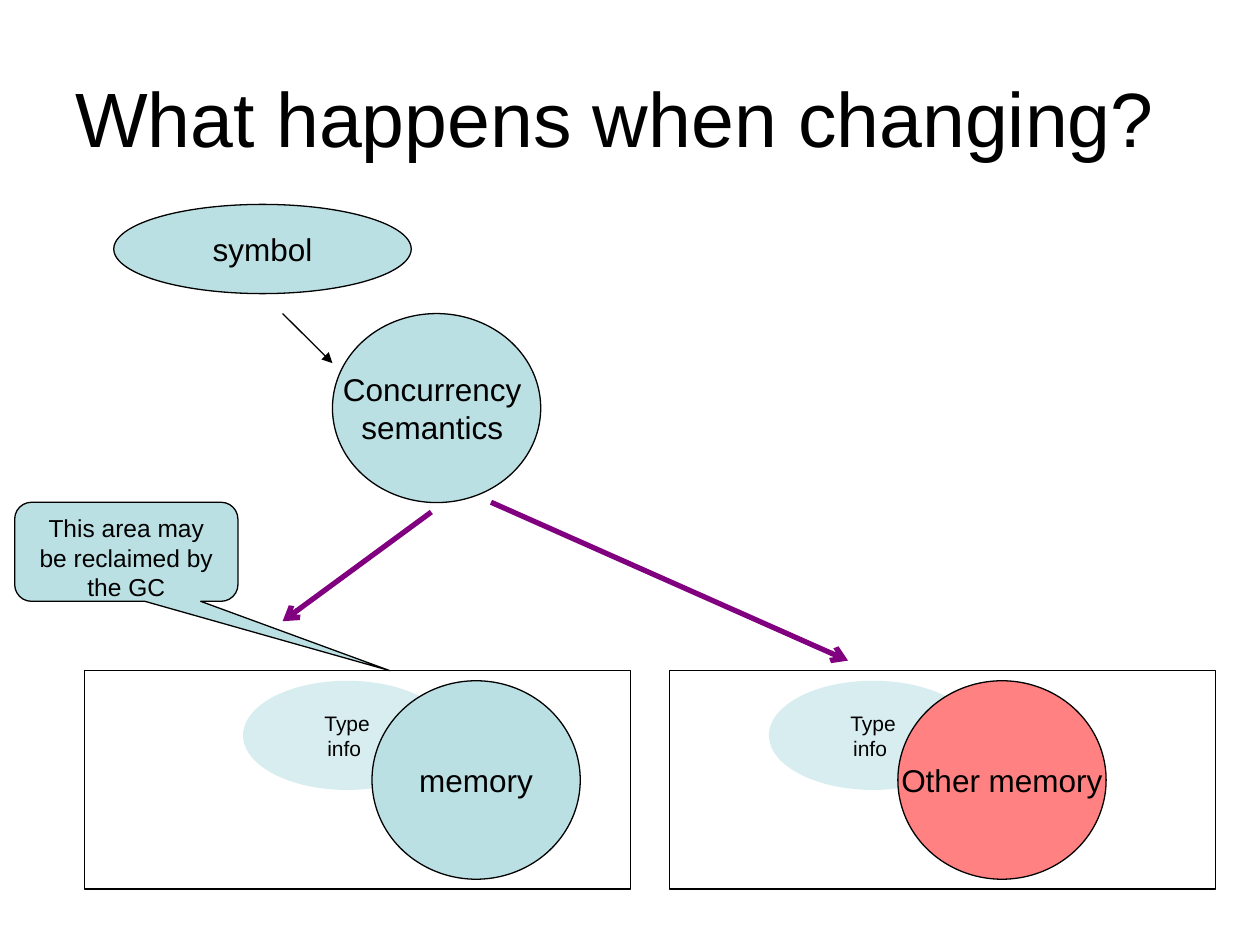
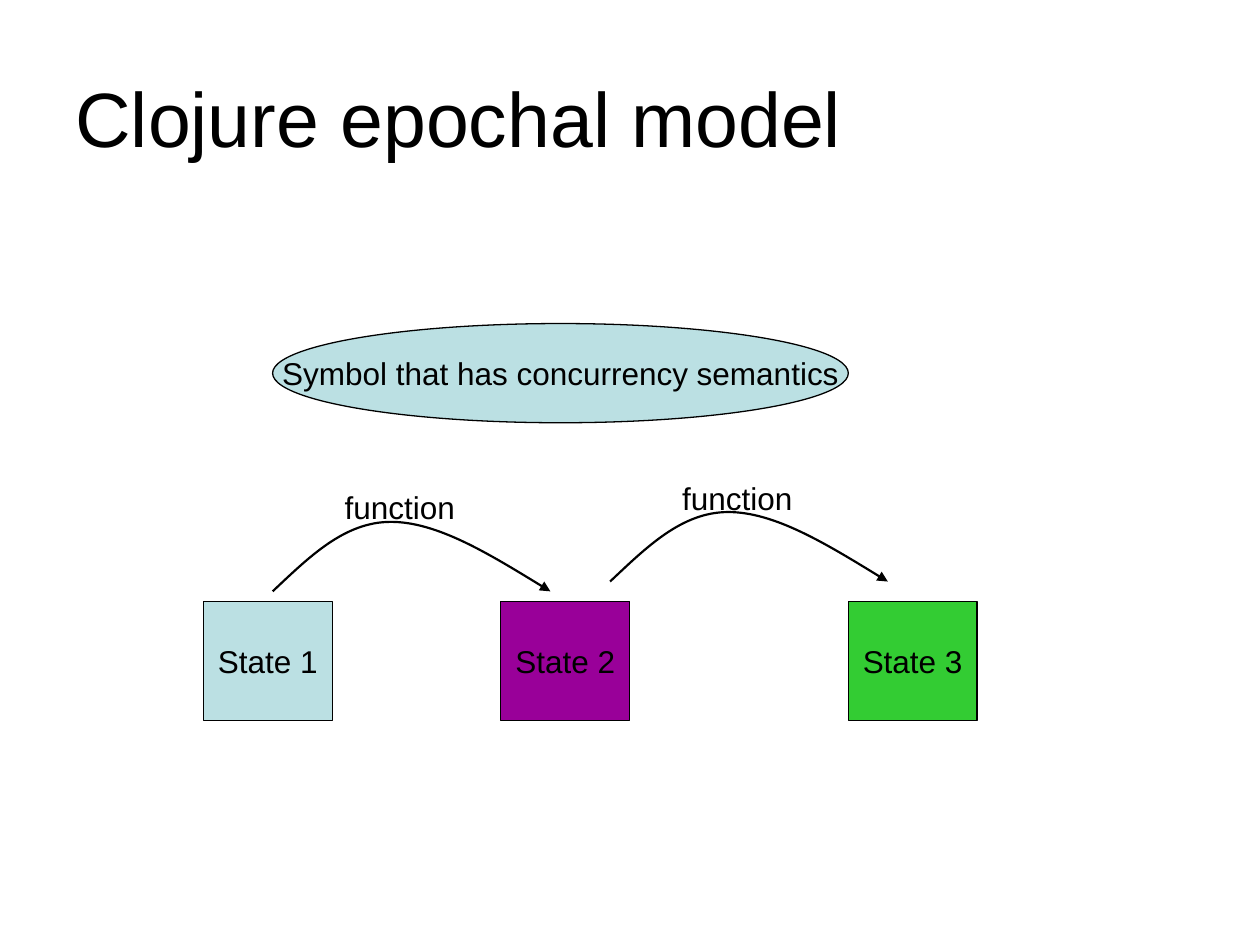
import pptx
import pptx.util
import pptx.dml.color
import pptx.enum.shapes
import pptx.enum.text
import pptx.oxml.ns
from lxml import etree

Pt = pptx.util.Pt
qn = pptx.oxml.ns.qn
MSO = pptx.enum.shapes.MSO_SHAPE
ANCHOR = pptx.enum.text.MSO_ANCHOR
ALIGN = pptx.enum.text.PP_ALIGN

FONT = "Arial"
BLACK, PALE, PURPLE = "000000", "BBE0E3", "800080"


def rgb(value):
    return pptx.dml.color.RGBColor.from_string(value)


def add(s, kind, box, text="", size=18, fill=None, line=BLACK, wrap=False,
        anchor=ANCHOR.MIDDLE, align=ALIGN.CENTER):
    box = [Pt(v) for v in box]
    if kind is None:
        sp = s.shapes.add_textbox(*box)
    else:
        sp = s.shapes.add_shape(kind, *box)
        sp.shadow.inherit = False
        if fill:
            sp.fill.solid()
            sp.fill.fore_color.rgb = rgb(fill)
        else:
            sp.fill.background()
        if line:
            sp.line.color.rgb = rgb(line)
            sp.line.width = Pt(0.75)
        else:
            sp.line.fill.background()
    tf = sp.text_frame
    tf.word_wrap = wrap
    tf.vertical_anchor = anchor
    tf.text = text
    for p in tf.paragraphs:
        p.alignment = align
        for r in p.runs:
            r.font.name = FONT
            r.font.size = Pt(size)
            r.font.color.rgb = rgb(BLACK)
    return sp


prs = pptx.Presentation()
prs.slide_width, prs.slide_height = Pt(720), Pt(540)

for title in ("What happens when changing?", "Clojure epochal model"):
    s = prs.slides.add_slide(prs.slide_layouts[6])
    add(s, None, (36, 21.6, 648, 90), title, 44, wrap=True, align=ALIGN.LEFT)

s = prs.slides[0]
add(s, MSO.OVAL, (190, 179.2, 119, 108), "Concurrency \nsemantics ", fill=PALE)
add(s, MSO.OVAL, (65, 116.8, 170, 51), "symbol", fill=PALE)

for x1, y1, x2, y2, color, width, head in (
    (246.5, 292.6, 161.5, 355, PURPLE, 3, "arrow"),
    (161.5, 179.2, 190, 207.5, BLACK, 0.75, "triangle"),
    (280.6, 287, 484.6, 377.5, PURPLE, 3, "arrow"),
):
    cn = s.shapes.add_connector(pptx.enum.shapes.MSO_CONNECTOR.STRAIGHT,
                                Pt(x1), Pt(y1), Pt(x2), Pt(y2))
    cn.line.color.rgb = rgb(color)
    cn.line.width = Pt(width)
    spPr = cn._element.spPr
    etree.SubElement(spPr.find(qn("a:ln")), qn("a:tailEnd"), type=head)
    etree.SubElement(spPr, qn("a:effectLst"))

for panel_x, type_x, memory, fill in (
    (48.2, 138.9, "memory", PALE),
    (382.5, 439.4, "Other memory", "FF8181"),
):
    add(s, MSO.RECTANGLE, (panel_x, 383.2, 312, 124.8))
    sp = add(s, MSO.OVAL, (type_x, 389, 119, 62.4), "Type\ninfo ", 12, PALE, None)
    clr = sp._element.spPr.find(qn("a:solidFill"))[0]
    etree.SubElement(clr, qn("a:alpha"), val="56000")
    add(s, MSO.OVAL, (type_x + 73.7, 389, 119, 113.4), memory, fill=fill)

sp = add(s, MSO.ROUNDED_RECTANGULAR_CALLOUT, (8.4, 287, 127.6, 56.6),
         "This area may be reclaimed by the GC", 14, PALE, wrap=True,
         anchor=ANCHOR.TOP)
sp.adjustments[0], sp.adjustments[1], sp.adjustments[2] = 1.18, 1.2, 0.17

s = prs.slides[1]
add(s, MSO.OVAL, (155.8, 184.9, 329, 56.7),
    "Symbol that has concurrency semantics", fill=PALE)

for i, (x, fill) in enumerate(((116.2, PALE), (286.2, "990099"), (484.7, "33CC33"))):
    add(s, MSO.RECTANGLE, (x, 343.6, 73.7, 68), f"State {i + 1}", fill=fill)

for x, y in ((155.8, 298.2), (348.6, 292.6)):
    curve = [(x + dx, y + dy) for dx, dy in (
        (0, 39.7), (21, 20), (41, 0), (67.6, 0), (94, 0), (126.5, 20), (158.7, 39.7))]
    fb = s.shapes.build_freeform(Pt(curve[0][0]), Pt(curve[0][1]))
    fb.add_line_segments([(Pt(px), Pt(py)) for px, py in curve[1:]], close=False)
    sp = fb.convert_to_shape()
    sp.shadow.inherit = False
    sp.fill.background()
    sp.line.color.rgb = rgb(BLACK)
    sp.line.width = Pt(1.25)
    spPr = sp._element.spPr
    etree.SubElement(spPr.find(qn("a:ln")), qn("a:tailEnd"), type="triangle")
    segments = list(spPr.iter(qn("a:lnTo")))
    outline = segments[0].getparent()
    for n in (0, 3):
        bezier = etree.SubElement(outline, qn("a:cubicBezTo"))
        for segment in segments[n:n + 3]:
            bezier.append(segment[0])
            outline.remove(segment)
    sp = add(s, None, (x + 34.1, y - 22.6, 102, 28.8), "function", wrap=True,
             anchor=ANCHOR.TOP, align=ALIGN.LEFT)
    sp.text_frame.paragraphs[0].space_before = Pt(11.2)

prs.save("out.pptx")
